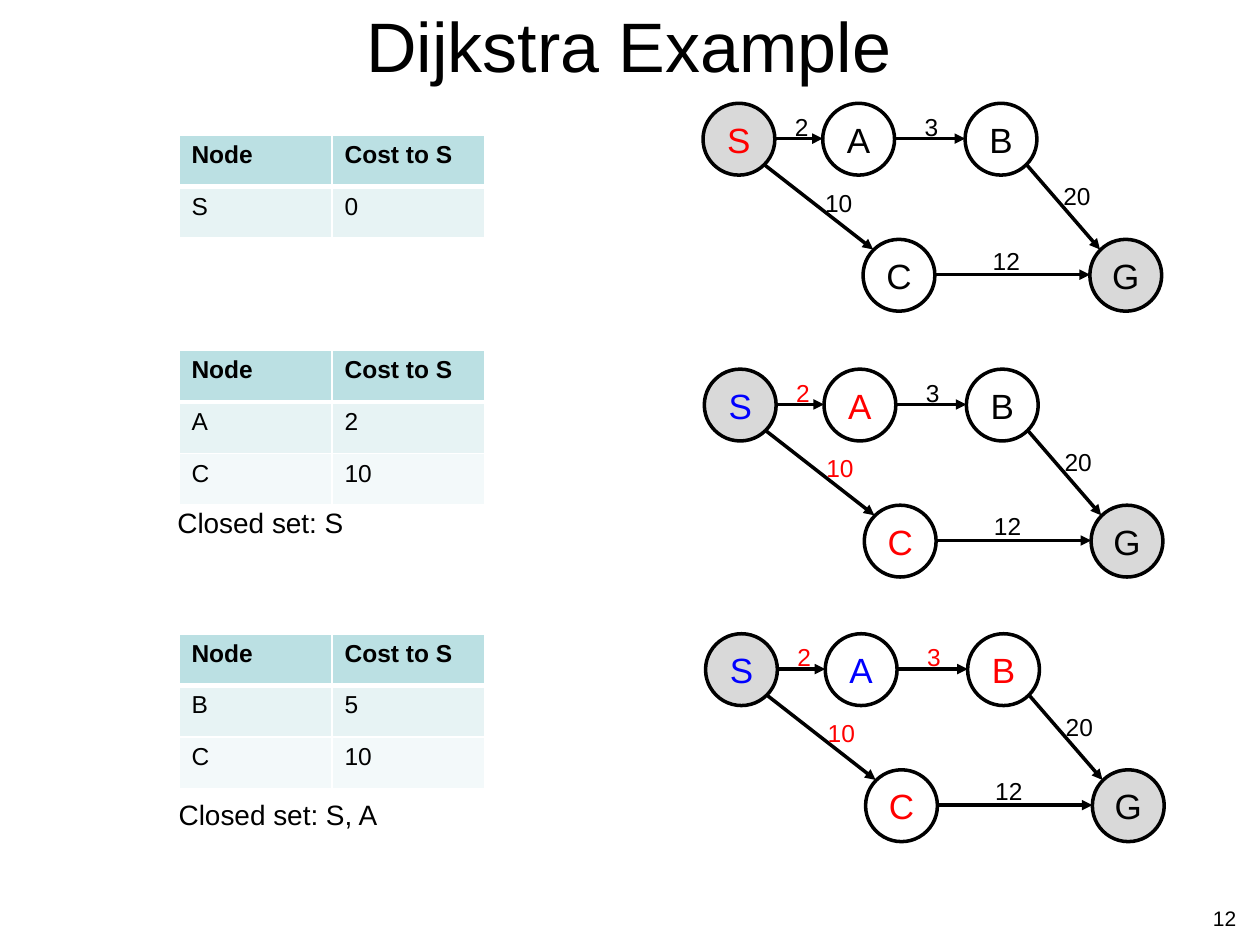
from lxml.etree import SubElement
from pptx import Presentation
from pptx.dml.color import RGBColor
from pptx.enum.shapes import MSO_CONNECTOR as Link, MSO_SHAPE as Shape
from pptx.enum.text import MSO_ANCHOR as Anchor, MSO_AUTO_SIZE as Auto, PP_ALIGN as Align
from pptx.oxml.ns import qn
from pptx.util import Inches, Pt

BLACK = RGBColor(0, 0, 0)
RED = RGBColor(0xFF, 0, 0)
BLUE = RGBColor(0, 0, 0xFF)
GRAY = RGBColor(0xD9, 0xD9, 0xD9)
HEAD = RGBColor(0xBB, 0xE0, 0xE3)
BANDS = [RGBColor(0xE7, 0xF3, 0xF4), RGBColor(0xF3, 0xF9, 0xFA)]

SIZE = 0.57
NODES = {"S": (0, 0), "A": (0.95, 0), "B": (2.08, 0), "C": (1.27, 1.08), "G": (3.07, 1.08)}
EDGES = [
    (0.57, 0.28, 0.95, 0.28),
    (0.49, 0.49, 1.35, 1.16),
    (1.52, 0.28, 2.08, 0.28),
    (1.84, 1.36, 3.07, 1.36),
    (2.57, 0.49, 3.15, 1.16),
]
COSTS = {"2": (0.63, 0.02), "3": (1.66, 0.02), "10": (0.87, 0.62),
         "12": (2.2, 1.08), "20": (2.76, 0.57)}
STEPS = [
    (5.58, 0.82, {"S": RED}),
    (5.59, 2.93, {"S": BLUE, "A": RED, "C": RED, "2": RED, "10": RED}),
    (5.6, 5.03, {"S": BLUE, "A": BLUE, "B": RED, "C": RED, "2": RED, "3": RED, "10": RED}),
]
TABLES = [
    (1.07, [("S", "0")]),
    (2.78, [("A", "2"), ("C", "10")]),
    (5.03, [("B", "5"), ("C", "10")]),
]


def write(frame, text, size, color=BLACK, align=Align.LEFT, bold=False):
    frame.text = text
    para = frame.paragraphs[0]
    para.alignment = align
    font = para.runs[0].font
    font.name, font.size, font.bold = "Arial", Pt(size), bold
    font.color.rgb = color


def label(shapes, text, x, y, w, h, size, color=BLACK):
    box = shapes.add_textbox(Inches(x), Inches(y), Inches(w), Inches(h))
    write(box.text_frame, text, size, color)
    box.text_frame.word_wrap = False
    box.text_frame.auto_size = Auto.SHAPE_TO_FIT_TEXT


prs = Presentation()
prs.slide_width, prs.slide_height = Inches(10), Inches(7.5)
slide = prs.slides.add_slide(prs.slide_layouts[6])

title = slide.shapes.add_textbox(Inches(0.49), Inches(-0.12), Inches(9), Inches(0.95))
title.text_frame.word_wrap = True
title.text_frame.vertical_anchor = Anchor.MIDDLE
write(title.text_frame, "Dijkstra Example", 40, align=Align.CENTER)

for left, top, tints in STEPS:
    graph = slide.shapes.add_group_shape().shapes
    for name, (x, y) in NODES.items():
        node = graph.add_shape(Shape.OVAL, Inches(left + x), Inches(top + y),
                               Inches(SIZE), Inches(SIZE))
        node.shadow.inherit = False
        if name in "SG":
            node.fill.solid()
            node.fill.fore_color.rgb = GRAY
        else:
            node.fill.background()
        node.line.color.rgb = BLACK
        node.line.width = Pt(2)
        node.text_frame.word_wrap = False
        node.text_frame.vertical_anchor = Anchor.MIDDLE
        write(node.text_frame, name, 20, tints.get(name, BLACK), Align.CENTER)
    for x1, y1, x2, y2 in EDGES:
        edge = graph.add_connector(Link.STRAIGHT, Inches(left + x1), Inches(top + y1),
                                   Inches(left + x2), Inches(top + y2))
        edge.line.color.rgb = BLACK
        edge.line.width = Pt(2)
        props = edge._element.spPr
        SubElement(props.get_or_add_ln(), qn("a:tailEnd"), type="triangle")
        SubElement(props, qn("a:effectLst"))
    for cost, (x, y) in COSTS.items():
        label(graph, cost, left + x, top + y, 0.2 + 0.11 * len(cost), 0.34, 14,
              tints.get(cost, BLACK))

for top, rows in TABLES:
    count = len(rows) + 1
    table = slide.shapes.add_table(count, 2, Inches(1.42), Inches(top), Inches(2.43),
                                   Inches(0.41) * count).table
    for r, row in enumerate([("Node", "Cost to S")] + rows):
        for c, text in enumerate(row):
            cell = table.cell(r, c)
            write(cell.text_frame, text, 14, bold=r == 0)
            props = cell._tc.get_or_add_tcPr()
            for side in "LRTB":
                thick = (r, side) in [(0, "B"), (1, "T")]
                line = SubElement(props, qn(f"a:ln{side}"), w=str(Pt(3 if thick else 1)))
                SubElement(SubElement(line, qn("a:solidFill")), qn("a:srgbClr"), val="FFFFFF")
            cell.fill.solid()
            cell.fill.fore_color.rgb = BANDS[(r - 1) % 2] if r else HEAD

label(slide.shapes, "Closed set: S", 1.31, 3.96, 1.54, 0.37, 16)
label(slide.shapes, "Closed set: S, A", 1.32, 6.28, 1.8, 0.37, 16)

page = slide.shapes.add_textbox(Inches(7.58), Inches(7.14), Inches(2.33), Inches(0.27))
page.text_frame.word_wrap = True
write(page.text_frame, "12", 12, align=Align.RIGHT)

prs.save("out.pptx")
